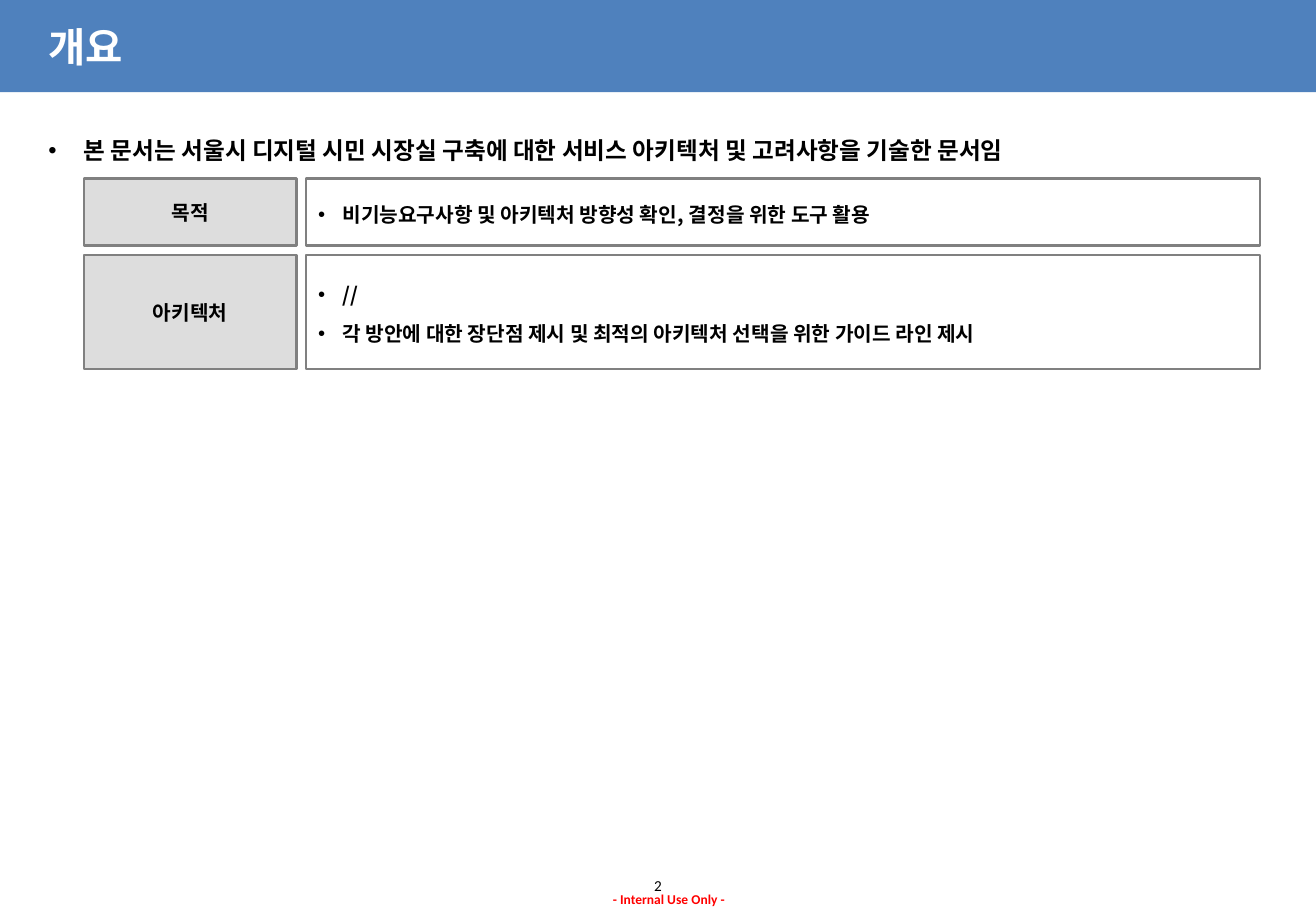
"""Build the overview slide with its purpose and architecture rows."""
from dataclasses import dataclass

from pptx import Presentation
from pptx import util as u
from pptx.dml.color import RGBColor
from pptx.enum import shapes, text
from pptx.oxml import ns, xmlchemy

KOREAN = "Noto Sans CJK KR"
LATIN = "Calibri"
BLACK = "000000"
CENTER = text.PP_ALIGN.CENTER
LEFT = text.PP_ALIGN.LEFT


@dataclass
class Box:
    left: float
    top: float
    width: float
    height: float


@dataclass
class Style:
    size: float
    color: str = BLACK
    font: str = KOREAN
    bold: bool = True
    align: text.PP_ALIGN = LEFT
    before: float = 0
    line_spacing: float = 0
    bullet_indent: float = 0


@dataclass
class Topic:
    label: str
    points: list[str]
    height: float


TITLE = Style(24, "FFFFFF")
SUMMARY = Style(14, before=4.2, bullet_indent=0.29)
LABEL = Style(12, align=CENTER, before=6)
POINT = Style(12, before=6, line_spacing=17, bullet_indent=0.2)
PAGE_NUMBER = Style(9, font=LATIN, bold=False, align=CENTER)
NOTICE = Style(8, "FF0000", LATIN, align=CENTER, before=4)

TOPICS = [
    Topic("목적", ["비기능요구사항 및 아키텍처 방향성 확인, 결정을 위한 도구 활용"], 0.55),
    Topic("아키텍처", ["//", "각 방안에 대한 장단점 제시 및 최적의 아키텍처 선택을 위한 가이드 라인 제시"], 0.94),
]
TOPICS_TOP = 1.47
LABEL_LEFT, LABEL_WIDTH = 0.69, 1.75
POINTS_WIDTH = 7.85
GAP = 0.08


def rgb(color: str) -> RGBColor:
    return RGBColor.from_string(color)


def add_bullet(paragraph, indent: float) -> None:
    properties = paragraph._p.get_or_add_pPr()
    properties.set("marL", str(u.Inches(indent)))
    properties.set("indent", str(u.Inches(-indent)))
    for tag, name, value in (("a:buFont", "typeface", "Arial"), ("a:buChar", "char", "•")):
        mark = xmlchemy.OxmlElement(tag)
        mark.set(name, value)
        properties.append(mark)


def write(frame, lines: list[str], style: Style) -> None:
    frame.text = "\n".join(lines)
    for paragraph in frame.paragraphs:
        paragraph.alignment = style.align
        paragraph.space_before = u.Pt(style.before)
        if style.line_spacing:
            paragraph.line_spacing = u.Pt(style.line_spacing)
        if style.bullet_indent:
            add_bullet(paragraph, style.bullet_indent)
        for run in paragraph.runs:
            run.font.size = u.Pt(style.size)
            run.font.bold = style.bold
            run.font.name = style.font
            run.font.color.rgb = rgb(style.color)
            east_asian = xmlchemy.OxmlElement("a:ea")
            east_asian.set("typeface", style.font)
            run.font._element.find(ns.qn("a:latin")).addnext(east_asian)


def place(box: Box) -> list[int]:
    return [u.Inches(n) for n in (box.left, box.top, box.width, box.height)]


def add_text(slide, box: Box, line: str, style: Style, middle: bool = False):
    frame = slide.shapes.add_textbox(*place(box)).text_frame
    frame.word_wrap = True
    if middle:
        frame.vertical_anchor = text.MSO_ANCHOR.MIDDLE
    write(frame, [line], style)
    return frame


def add_panel(slide, box: Box, fill: str = "", line: str = ""):
    panel = slide.shapes.add_shape(shapes.MSO_SHAPE.RECTANGLE, *place(box))
    panel.shadow.inherit = False
    if fill:
        panel.fill.solid()
        panel.fill.fore_color.rgb = rgb(fill)
    else:
        panel.fill.background()
    if line:
        panel.line.color.rgb = rgb(line)
        panel.line.width = u.Pt(1.5)
    else:
        panel.line.fill.background()
    panel.text_frame.vertical_anchor = text.MSO_ANCHOR.MIDDLE
    return panel.text_frame


def add_topics(slide) -> None:
    top = TOPICS_TOP
    points_left = LABEL_LEFT + LABEL_WIDTH + GAP
    for topic in TOPICS:
        label = add_panel(slide, Box(LABEL_LEFT, top, LABEL_WIDTH, topic.height), "DDDDDD", "808080")
        write(label, [topic.label], LABEL)
        points = add_panel(slide, Box(points_left, top, POINTS_WIDTH, topic.height), line="808080")
        write(points, topic.points, POINT)
        top += topic.height + GAP


def main() -> None:
    deck = Presentation()
    deck.slide_width, deck.slide_height = u.Inches(10.83), u.Inches(7.5)
    slide = deck.slides.add_slide(deck.slide_layouts[6])

    add_panel(slide, Box(0, 0, 10.83, 0.76), "4F81BD")
    number = add_text(slide, Box(5.1, 7.09, 0.63, 0.4), "2", PAGE_NUMBER, middle=True)
    number.word_wrap = False
    number.margin_left = number.margin_right = number.margin_top = number.margin_bottom = 0
    notice = add_text(slide, Box(3.97, 7.29, 3.07, 0.24), "- Internal Use Only -", NOTICE)
    add_text(slide, Box(0.3, 0, 10.16, 0.76), "개요", TITLE, middle=True)
    add_topics(slide)
    summary = add_text(slide, Box(0.3, 1.07, 10.08, 0.34),
                       "본 문서는 서울시 디지털 시민 시장실 구축에 대한 서비스 아키텍처 및 고려사항을 기술한 문서임", SUMMARY)
    for frame in (notice, summary):
        frame.auto_size = text.MSO_AUTO_SIZE.SHAPE_TO_FIT_TEXT

    deck.save("out.pptx")


if __name__ == "__main__":
    main()
